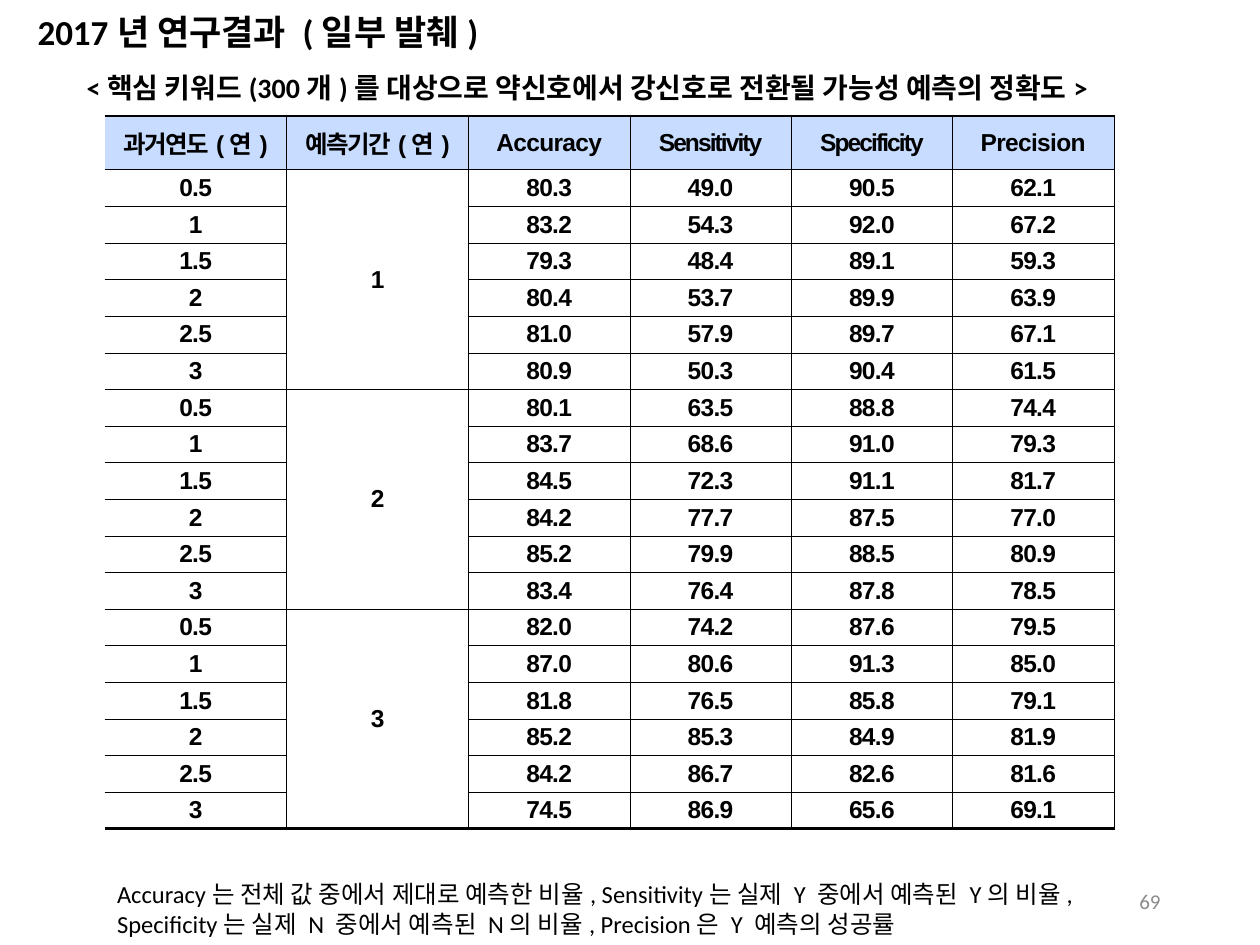
"""Build the slide of yearly prediction accuracy results."""
from dataclasses import dataclass

from lxml import etree
from pptx import Presentation
from pptx import util as u
from pptx.dml import color as c
from pptx.enum import text as t
from pptx.oxml import ns


@dataclass(frozen=True)
class Theme:
    black: str = "000000"
    grey: str = "8C8C8C"
    header_fill: str = "C8DCFF"
    text_font: str = "Calibri"
    table_font: str = "Arial"
    title_size: float = 20
    subtitle_size: float = 16
    body_size: float = 14
    number_size: float = 12
    thin: float = 0.28
    thick: float = 1.7


THEME = Theme()
COLUMN_WIDTHS = [104, 104, 92.2, 92.2, 92.2, 92.2]
HEADER_HEIGHT, ROW_HEIGHT = 30.8, 18
HEADERS = [("과거연도(연)", -0.9), ("예측기간(연)", -0.9), ("Accuracy", -0.4),
           ("Sensitivity", -1.1), ("Specificity", -1.1), ("Precision", -0.4)]
BODY_SPACING = -0.4
PAST_YEARS = ["0.5", "1", "1.5", "2", "2.5", "3"]
RESULTS = {
    "1": [(80.3, 49.0, 90.5, 62.1), (83.2, 54.3, 92.0, 67.2), (79.3, 48.4, 89.1, 59.3),
          (80.4, 53.7, 89.9, 63.9), (81.0, 57.9, 89.7, 67.1), (80.9, 50.3, 90.4, 61.5)],
    "2": [(80.1, 63.5, 88.8, 74.4), (83.7, 68.6, 91.0, 79.3), (84.5, 72.3, 91.1, 81.7),
          (84.2, 77.7, 87.5, 77.0), (85.2, 79.9, 88.5, 80.9), (83.4, 76.4, 87.8, 78.5)],
    "3": [(82.0, 74.2, 87.6, 79.5), (87.0, 80.6, 91.3, 85.0), (81.8, 76.5, 85.8, 79.1),
          (85.2, 85.3, 84.9, 81.9), (84.2, 86.7, 82.6, 81.6), (74.5, 86.9, 65.6, 69.1)],
}


def set_values(target, values):
    for name, value in values.items():
        setattr(target, name, value)


def write_text(paragraph, content, size, font, color=THEME.black, bold=False,
               align=t.PP_ALIGN.LEFT, spacing=0):
    paragraph.alignment = align
    run = paragraph.add_run()
    run.text = content
    set_values(run.font, {"size": u.Pt(size), "name": font, "bold": bold})
    run.font.color.rgb = c.RGBColor.from_string(color)
    if spacing:
        run._r.get_or_add_rPr().set("spc", str(round(spacing * 100)))


def add_label(slide, box, content, size, anchor=t.MSO_ANCHOR.TOP,
              fit=t.MSO_AUTO_SIZE.SHAPE_TO_FIT_TEXT, **style):
    shape = slide.shapes.add_textbox(*map(u.Pt, box))
    set_values(shape.text_frame, {"word_wrap": True, "auto_size": fit,
                                  "vertical_anchor": anchor})
    write_text(shape.text_frame.paragraphs[0], content, size, THEME.text_font, **style)


def set_borders(cell, widths):
    properties = cell._tc.get_or_add_tcPr()
    for side, width in zip("LRTB", widths):
        line = etree.SubElement(properties, ns.qn(f"a:ln{side}"), w=str(u.Pt(width)))
        if width:
            fill = etree.SubElement(line, ns.qn("a:solidFill"))
            etree.SubElement(fill, ns.qn("a:srgbClr"), val=THEME.black)
        else:
            etree.SubElement(line, ns.qn("a:noFill"))


def format_cell(cell, widths, fill=None):
    set_values(cell, {"vertical_anchor": t.MSO_ANCHOR.MIDDLE,
                      "margin_left": u.Pt(5.6), "margin_right": u.Pt(5.6),
                      "margin_top": u.Pt(2.6), "margin_bottom": u.Pt(2.6)})
    set_borders(cell, widths)
    if fill:
        cell.fill.solid()
        cell.fill.fore_color.rgb = c.RGBColor.from_string(fill)
    else:
        cell.fill.background()


def write_cell(cell, content, spacing=BODY_SPACING):
    write_text(cell.text_frame.paragraphs[0], content, THEME.body_size, THEME.table_font,
               bold=True, align=t.PP_ALIGN.CENTER, spacing=spacing)


def add_results_table(slide):
    group = len(PAST_YEARS)
    last_row = group * len(RESULTS)
    frame = slide.shapes.add_table(last_row + 1, len(HEADERS), u.Pt(59.8), u.Pt(66.2),
                                   u.Pt(sum(COLUMN_WIDTHS)), u.Pt(433.4))
    table = frame.table
    set_values(table, {"first_row": False, "horz_banding": False})
    for column, width in zip(table.columns, COLUMN_WIDTHS):
        column.width = u.Pt(width)
    for i, row in enumerate(table.rows):
        row.height = u.Pt(ROW_HEIGHT if i else HEADER_HEIGHT)
        for j, cell in enumerate(row.cells):
            at_bottom = i == last_row or (j == 1 and i > last_row - group)
            widths = (THEME.thin if j else 0, THEME.thin,
                      THEME.thin if i else THEME.thick,
                      THEME.thick if at_bottom else THEME.thin)
            format_cell(cell, widths, None if i else THEME.header_fill)
    frame.height = u.Pt(433.4)

    for j, (header, spacing) in enumerate(HEADERS):
        write_cell(table.cell(0, j), header, spacing)
    for index, (period, scores) in enumerate(RESULTS.items()):
        first = 1 + index * group
        table.cell(first, 1).merge(table.cell(first + group - 1, 1))
        write_cell(table.cell(first, 1), period)
        for i, (past, values) in enumerate(zip(PAST_YEARS, scores), first):
            write_cell(table.cell(i, 0), past)
            for j, value in enumerate(values, 2):
                write_cell(table.cell(i, j), f"{value:.1f}")


def main():
    presentation = Presentation()
    set_values(presentation, {"slide_width": u.Pt(720), "slide_height": u.Pt(540)})
    slide = presentation.slides.add_slide(presentation.slide_layouts[6])
    add_results_table(slide)
    add_label(slide, (59.8, 499, 612, 41),
              "Accuracy는 전체 값 중에서 제대로 예측한 비율, Sensitivity는 실제 Y 중에서 예측된 Y의 비율, "
              "Specificity는 실제 N 중에서 예측된 N의 비율, Precision은 Y 예측의 성공률",
              THEME.body_size)
    add_label(slide, (14.4, 2.2, 629.3, 31.7), "2017년 연구결과 (일부 발췌)",
              THEME.title_size, bold=True)
    add_label(slide, (42.5, 36.7, 645.8, 26.6),
              "<핵심 키워드(300개)를 대상으로 약신호에서 강신호로 전환될 가능성 예측의 정확도>",
              THEME.subtitle_size, bold=True)
    add_label(slide, (508.3, 500.4, 162, 28.8), "69", THEME.number_size,
              anchor=t.MSO_ANCHOR.MIDDLE, fit=t.MSO_AUTO_SIZE.NONE,
              color=THEME.grey, align=t.PP_ALIGN.RIGHT)
    presentation.save("out.pptx")


if __name__ == "__main__":
    main()
